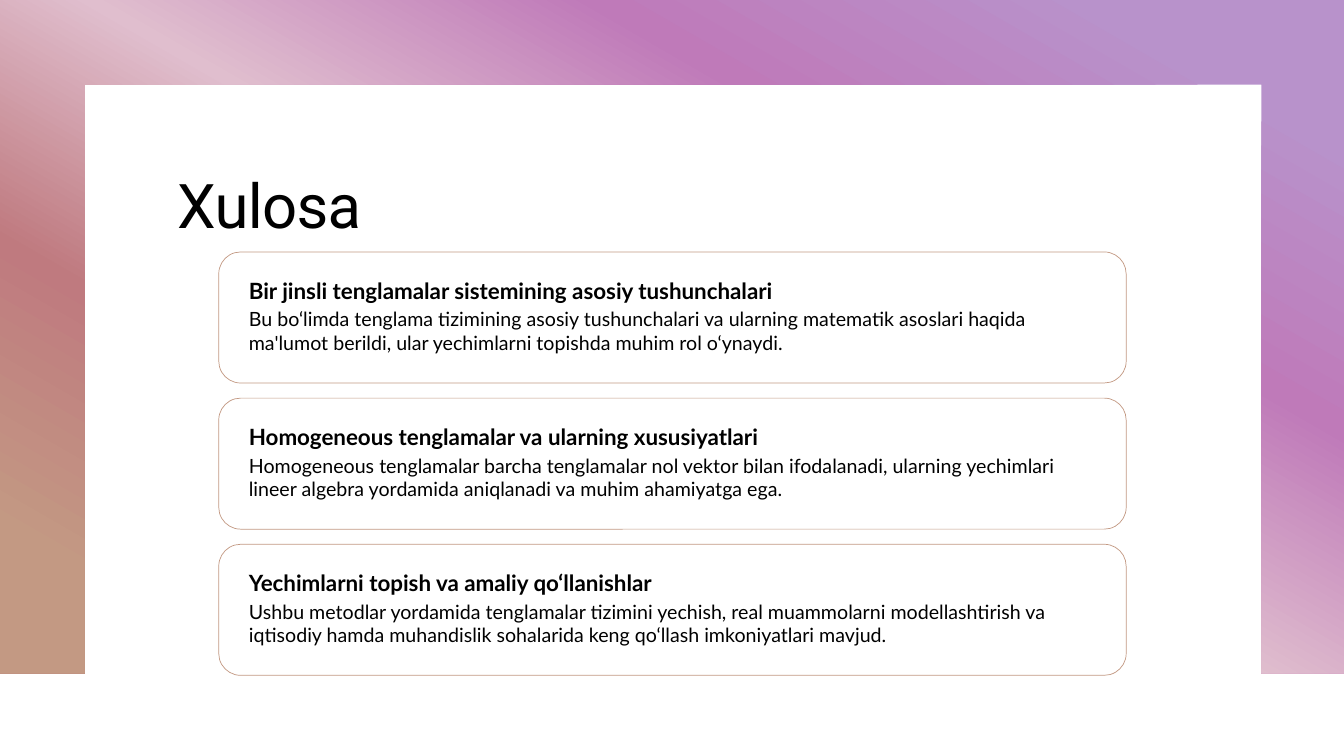
"""Build the Xulosa summary slide with three outlined cards."""
from pptx import Presentation
from pptx.dml.color import RGBColor
from pptx.enum.shapes import MSO_SHAPE as Shape
from pptx.enum.text import MSO_ANCHOR as Anchor
from pptx.oxml.ns import qn
from pptx.util import Inches, Pt
from lxml.etree import SubElement

COLORS = {"text": "000000", "line": "C39983", "background": "FFFFFF"}
GRADIENT = {10: "B892CB", 30: "BF7AB9", 50: "E0BECE", 70: "BF7A7F", 90: "C39983"}
WIDTH, HEIGHT = 13.33, 7.5
FRAME_BOTTOM, FRAME_MARGIN = 6.68, 0.84
CARD_LEFT, CARD_TOP, CARD_WIDTH, CARD_HEIGHT = 2.17, 2.5, 9, 1.3
CARD_GAP, PADDING, HEADING_HEIGHT = 0.15, 0.2, 0.3
CARDS = [
    ("Bir jinsli tenglamalar sistemining asosiy tushunchalari",
     "Bu bo‘limda tenglama tizimining asosiy tushunchalari va ularning matematik asoslari haqida "
     "ma'lumot berildi, ular yechimlarni topishda muhim rol o‘ynaydi."),
    ("Homogeneous tenglamalar va ularning xususiyatlari",
     "Homogeneous tenglamalar barcha tenglamalar nol vektor bilan ifodalanadi, ularning yechimlari "
     "lineer algebra yordamida aniqlanadi va muhim ahamiyatga ega."),
    ("Yechimlarni topish va amaliy qo‘llanishlar",
     "Ushbu metodlar yordamida tenglamalar tizimini yechish, real muammolarni modellashtirish va "
     "iqtisodiy hamda muhandislik sohalarida keng qo‘llash imkoniyatlari mavjud."),
]

presentation = Presentation()
presentation.slide_width, presentation.slide_height = Inches(WIDTH), Inches(HEIGHT)
slide = presentation.slides.add_slide(presentation.slide_layouts[6])
slide.background.fill.solid()
slide.background.fill.fore_color.rgb = RGBColor.from_string(COLORS["background"])


def add_text(text, left, top, width, height, size, font_name="Lato", bold=False):
    box = slide.shapes.add_textbox(*map(Inches, (left, top, width, height)))
    frame = box.text_frame
    frame.word_wrap = True
    frame.vertical_anchor = Anchor.TOP
    frame.text = text
    paragraph = frame.paragraphs[0]
    font = paragraph.runs[0].font
    font.name, font.size, font.bold = font_name, Pt(size), bold
    font.color.rgb = RGBColor.from_string(COLORS["text"])
    return paragraph


inner_right = WIDTH - FRAME_MARGIN + 0.02
outline = [(WIDTH, 0), (WIDTH, FRAME_BOTTOM), (inner_right, FRAME_BOTTOM),
           (inner_right, FRAME_MARGIN), (FRAME_MARGIN, FRAME_MARGIN),
           (FRAME_MARGIN, FRAME_BOTTOM), (0, FRAME_BOTTOM)]
builder = slide.shapes.build_freeform(0, 0, scale=Inches(1))
builder = slide.shapes.build_freeform(0, 0, scale=1.0)
builder.add_line_segments([(Inches(x), Inches(y)) for x, y in outline], close=True)
border = builder.convert_to_shape()
border.shadow.inherit = False
border.line.fill.background()
border.fill.gradient()
border.fill.gradient_angle = 240
stop_list = next(border._element.iter(qn("a:gsLst")))
for stop in list(stop_list):
    stop_list.remove(stop)
for position, color in GRADIENT.items():
    stop = SubElement(stop_list, qn("a:gs"), pos=str(position * 1000))
    SubElement(stop, qn("a:srgbClr"), val=color)

title = add_text("Xulosa", 1.66, 1.66, 10, 1.47, 44, "Roboto")
title.line_spacing = 0.95
title.runs[0]._r.get_or_add_rPr().set("spc", "-50")

for row, (heading, body) in enumerate(CARDS):
    top = CARD_TOP + row * (CARD_HEIGHT + CARD_GAP)
    card = slide.shapes.add_shape(
        Shape.ROUNDED_RECTANGLE, *map(Inches, (CARD_LEFT, top, CARD_WIDTH, CARD_HEIGHT)))
    card.shadow.inherit = False
    card.fill.background()
    card.line.color.rgb = RGBColor.from_string(COLORS["line"])
    card.line.width = Pt(0.5)
    text_left, text_top = CARD_LEFT + PADDING, top + PADDING
    text_width = CARD_WIDTH - 2 * PADDING
    add_text(heading, text_left, text_top, text_width, HEADING_HEIGHT, 16, bold=True)
    add_text(body, text_left, text_top + HEADING_HEIGHT, text_width, 0.8, 14)

presentation.save("out.pptx")
